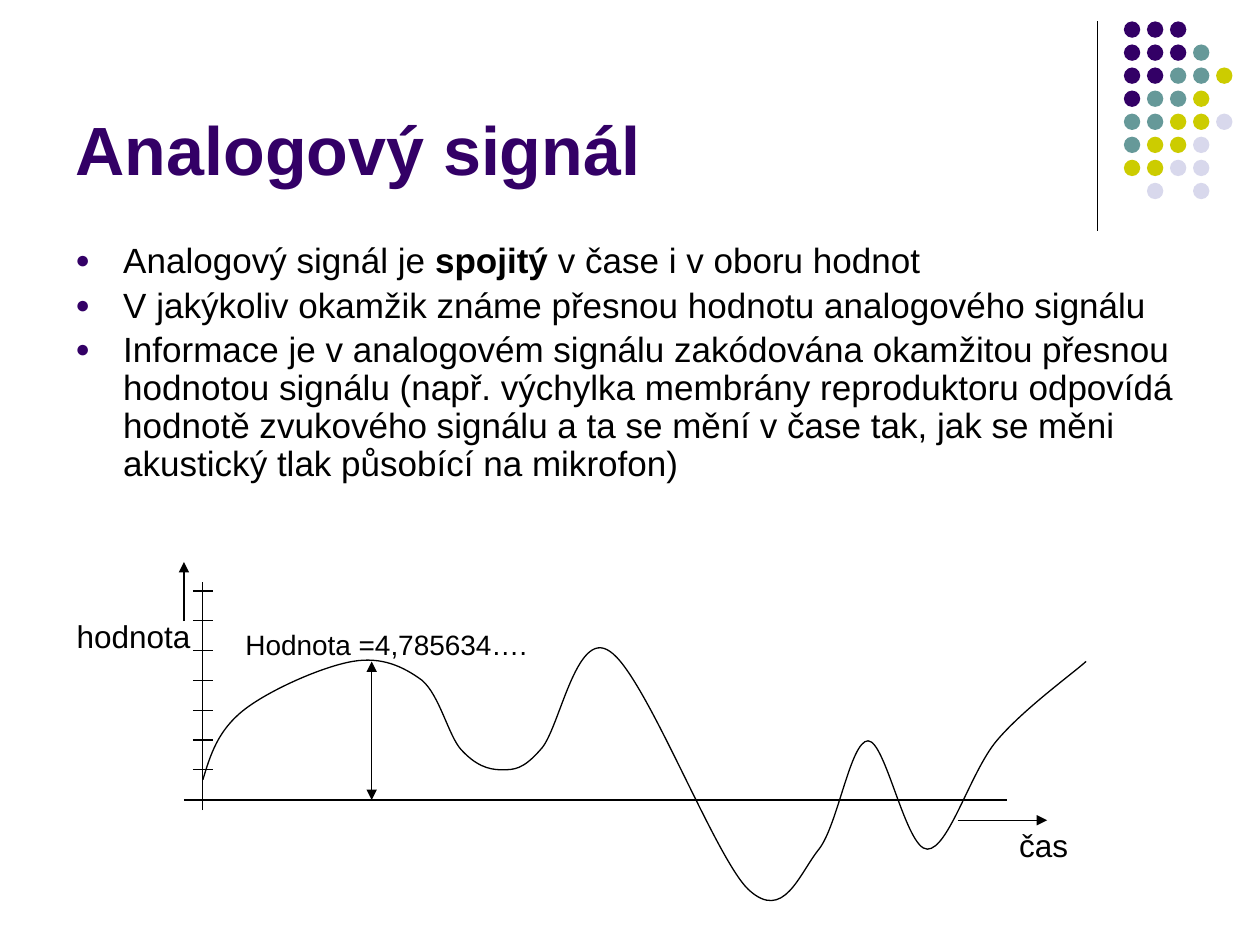
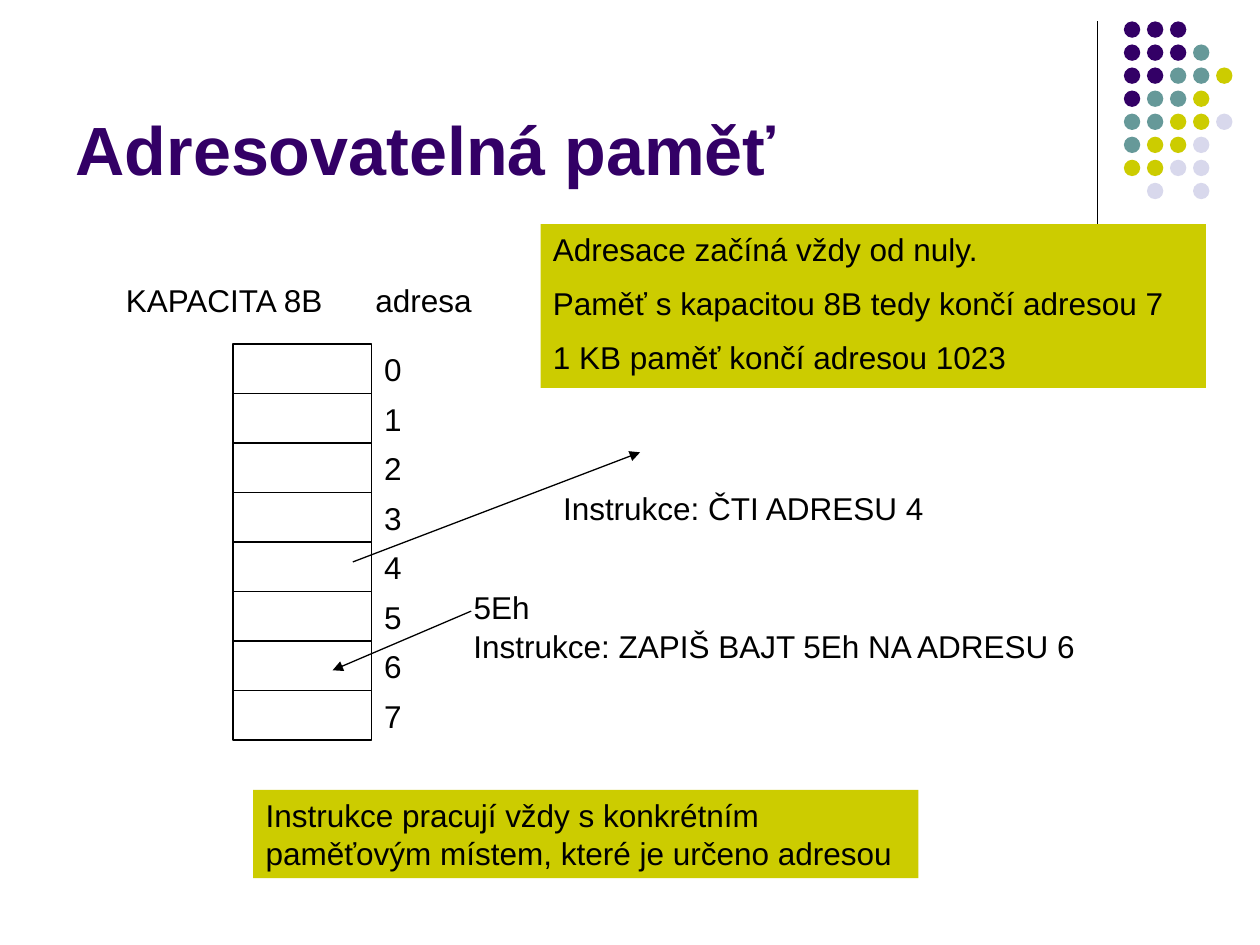
from dataclasses import dataclass

from lxml import etree
from pptx import Presentation
from pptx.dml.color import RGBColor
from pptx.enum import shapes, text
from pptx.oxml.ns import qn
from pptx.util import Inches, Pt

PURPLE = RGBColor(0x33, 0x00, 0x66)
TEAL = RGBColor(0x66, 0x99, 0x99)
LIME = RGBColor(0xCC, 0xCC, 0x00)
LAVENDER = RGBColor(0xD8, 0xD8, 0xEC)
BLACK = RGBColor(0x00, 0x00, 0x00)
FONT = "Arial"
LINE_WIDTH = Pt(0.75)

DOT_COLOURS = {"P": PURPLE, "T": TEAL, "Y": LIME, "L": LAVENDER}
DOT_ROWS = ["PPP", "PPPT", "PPTTY", "PTTY", "TTYYL", "TYYL", "YYLL", ".L.L"]
DOT_STEP = 0.183

Point = tuple[float, float]


@dataclass
class Label:
    words: str
    left: float
    top: float
    width: float
    height: float = 0.4
    size: int = 18
    tab: float | None = None


@dataclass
class Line:
    start: Point
    end: Point
    head: bool = False
    tail: bool = False


@dataclass
class Callout:
    paragraphs: list[str]
    left: float
    top: float
    width: float
    height: float


def style_font(font, size: int, colour: RGBColor = BLACK, bold: bool = False) -> None:
    font.name = FONT
    font.size = Pt(size)
    font.color.rgb = colour
    font.bold = bold


def style_outline(sp) -> None:
    sp.line.color.rgb = BLACK
    sp.line.width = LINE_WIDTH


def draw_line(slide, line: Line) -> None:
    sp = slide.shapes.add_connector(
        shapes.MSO_CONNECTOR.STRAIGHT,
        *(Inches(v) for v in (*line.start, *line.end)))
    style_outline(sp)
    ln = sp.line._get_or_add_ln()
    for tag, wanted in (("a:headEnd", line.head), ("a:tailEnd", line.tail)):
        if wanted:
            etree.SubElement(ln, qn(tag), type="triangle")
    etree.SubElement(sp._element.spPr, qn("a:effectLst"))


def draw_shape(slide, kind, left: float, top: float, width: float, height: float,
               fill: RGBColor | None = None):
    """Draw a filled shape without a line, or an outlined one without a fill."""
    sp = slide.shapes.add_shape(
        kind, Inches(left), Inches(top), Inches(width), Inches(height))
    sp.shadow.inherit = False
    if fill is None:
        sp.fill.background()
        style_outline(sp)
    else:
        sp.fill.solid()
        sp.fill.fore_color.rgb = fill
        sp.line.fill.background()
    return sp


def add_text_box(slide, left: float, top: float, width: float, height: float):
    """Add a wrapping text box and return its text frame."""
    tf = slide.shapes.add_textbox(
        Inches(left), Inches(top), Inches(width), Inches(height)).text_frame
    tf.word_wrap = True
    return tf


def draw_label(slide, label: Label) -> None:
    tf = add_text_box(slide, label.left, label.top, label.width, label.height)
    p = tf.paragraphs[0]
    p.text = label.words
    if label.tab is not None:
        tabs = etree.SubElement(p._p.get_or_add_pPr(), qn("a:tabLst"))
        etree.SubElement(tabs, qn("a:tab"), pos=str(Inches(label.tab)), algn="l")
    style_font(p.runs[0].font, label.size)


def draw_callout(slide, callout: Callout) -> None:
    sp = draw_shape(slide, shapes.MSO_SHAPE.RECTANGLE, callout.left, callout.top,
                    callout.width, callout.height, LIME)
    tf = sp.text_frame
    tf.word_wrap = True
    tf.vertical_anchor = text.MSO_ANCHOR.TOP
    tf.text = "\n".join(callout.paragraphs)
    for i, p in enumerate(tf.paragraphs):
        p.alignment = text.PP_ALIGN.LEFT
        if i:
            p.space_before = Pt(9)
        style_font(p.runs[0].font, 18)


def add_titled_slide(prs, title: str):
    """Add a slide with the shared title style, divider and dot pattern."""
    slide = prs.slides.add_slide(prs.slide_layouts[5])
    sp = slide.shapes.title
    sp.left, sp.top = Inches(0.5), Inches(0.13)
    sp.width, sp.height = Inches(8.25), Inches(1.42)
    tf = sp.text_frame
    tf.text = title
    tf.word_wrap = True
    tf.auto_size = text.MSO_AUTO_SIZE.NONE
    tf.vertical_anchor = text.MSO_ANCHOR.BOTTOM
    p = tf.paragraphs[0]
    p.alignment = text.PP_ALIGN.LEFT
    style_font(p.runs[0].font, 39, PURPLE, bold=True)

    draw_line(slide, Line((8.71, 0.17), (8.71, 1.83)))
    for row, codes in enumerate(DOT_ROWS):
        for col, code in enumerate(codes):
            if code in DOT_COLOURS:
                draw_shape(slide, shapes.MSO_SHAPE.OVAL, 8.92 + col * DOT_STEP,
                           0.17 + row * DOT_STEP, 0.13, 0.13, DOT_COLOURS[code])
    return slide


def add_bullet(p) -> None:
    pPr = p._p.get_or_add_pPr()
    pPr.set("marL", str(Inches(0.38)))
    pPr.set("indent", str(-Inches(0.38)))
    colour = etree.SubElement(pPr, qn("a:buClr"))
    etree.SubElement(colour, qn("a:srgbClr"), val=str(PURPLE))
    etree.SubElement(pPr, qn("a:buSzPct"), val="70000")
    etree.SubElement(pPr, qn("a:buFont"), typeface=FONT)
    etree.SubElement(pPr, qn("a:buChar"), char="●")


def draw_bullets(slide, bullets: list[list[str]]) -> None:
    """Draw bullets; every second piece of a bullet is bold."""
    tf = add_text_box(slide, 0.5, 1.88, 9, 4.82)
    for i, pieces in enumerate(bullets):
        p = tf.add_paragraph() if i else tf.paragraphs[0]
        add_bullet(p)
        p.line_spacing = 0.9
        if i:
            p.space_before = Pt(4)
        for j, piece in enumerate(pieces):
            r = p.add_run()
            r.text = piece
            style_font(r.font, 20, bold=j % 2 == 1)


def draw_curve(slide, knots: list[Point]) -> None:
    """Draw joined cubic curves: a start, then three points per curve."""
    start, *others = [(Inches(x), Inches(y)) for x, y in knots]
    builder = slide.shapes.build_freeform(*start)
    builder.add_line_segments(others, close=False)
    sp = builder.convert_to_shape()
    segments = list(sp._element.iter(qn("a:lnTo")))
    outline = segments[0].getparent()
    for i in range(0, len(segments), 3):
        curve = etree.SubElement(outline, qn("a:cubicBezTo"))
        for segment in segments[i:i + 3]:
            curve.append(segment[0])
            outline.remove(segment)
    sp.shadow.inherit = False
    sp.fill.background()
    style_outline(sp)


SIGNAL = [
    (1.61, 6.19),
    (1.67, 5.99), (1.73, 5.8), (1.93, 5.64),
    (2.13, 5.48), (2.56, 5.29), (2.8, 5.25),
    (3.03, 5.21), (3.2, 5.29), (3.35, 5.4),
    (3.49, 5.52), (3.56, 5.84), (3.66, 5.95),
    (3.77, 6.07), (3.87, 6.11), (3.98, 6.11),
    (4.08, 6.11), (4.15, 6.11), (4.29, 5.95),
    (4.44, 5.8), (4.57, 4.98), (4.84, 5.17),
    (5.12, 5.35), (5.67, 6.8), (5.94, 7.06),
    (6.22, 7.32), (6.34, 6.94), (6.5, 6.74),
    (6.65, 6.55), (6.75, 5.88), (6.89, 5.88),
    (7.03, 5.88), (7.19, 6.74), (7.36, 6.74),
    (7.53, 6.74), (7.7, 6.13), (7.91, 5.88),
    (8.12, 5.63), (8.51, 5.35), (8.62, 5.25),
]


def build_analog_signal(prs) -> None:
    slide = add_titled_slide(prs, "Analogový signál")
    draw_bullets(slide, [
        ["Analogový signál je", " spojitý", " v čase i v oboru hodnot"],
        ["V jakýkoliv okamžik známe přesnou hodnotu analogového signálu"],
        ["Informace je v analogovém signálu zakódována okamžitou přesnou "
         "hodnotou signálu (např. výchylka membrány reproduktoru odpovídá "
         "hodnotě zvukového signálu a ta se mění v čase tak, jak se měni "
         "akustický tlak působící na mikrofon)"],
    ])

    time_axis = Line((1.46, 6.35), (7.99, 6.35))
    value_axis = Line((1.61, 6.43), (1.61, 4.62))
    time_arrow = Line((7.6, 6.51), (8.31, 6.51), tail=True)
    value_arrow = Line((1.46, 4.93), (1.46, 4.46), tail=True)
    sample = Line((2.95, 5.25), (2.95, 6.35), head=True, tail=True)
    tick_tops = [4.69 + i * 1.42 / 6 for i in range(7)]
    ticks = [Line((1.53, y), (1.69, y)) for y in tick_tops]
    for line in (time_axis, value_axis, time_arrow, value_arrow, sample, *ticks):
        draw_line(slide, line)
    draw_curve(slide, SIGNAL)

    for label in (Label("čas", 7.99, 6.51, 0.79),
                  Label("hodnota", 0.51, 4.85, 1.26),
                  Label("Hodnota =4,785634….", 1.85, 4.93, 2.76, 0.37, 16)):
        draw_label(slide, label)


def build_addressable_memory(prs) -> None:
    slide = add_titled_slide(prs, "Adresovatelná paměť")
    for address in range(8):
        top = 2.73 + address * 2.75 / 7
        draw_shape(slide, shapes.MSO_SHAPE.RECTANGLE, 1.85, top, 1.1, 2.75 / 7)
        draw_label(slide, Label(str(address), 2.95, top, 1.26))

    for label in (Label("KAPACITA 8B\tadresa", 0.9, 2.18, 3.15, tab=1.98),
                  Label("Instrukce: ČTI ADRESU 4", 4.37, 3.83, 3.15),
                  Label("Instrukce: ZAPIŠ BAJT 5Eh NA ADRESU 6", 3.66, 4.93, 5.04),
                  Label("5Eh", 3.66, 4.62, 0.79)):
        draw_label(slide, label)

    write_arrow = Line((3.74, 4.85), (2.64, 5.32), tail=True)
    read_arrow = Line((2.8, 4.46), (5.08, 3.59), tail=True)
    for arrow in (write_arrow, read_arrow):
        draw_line(slide, arrow)

    draw_callout(slide, Callout(
        ["Instrukce pracují vždy s konkrétním paměťovým místem, "
         "které je určeno adresou"], 2.01, 6.27, 5.28, 0.7))
    draw_callout(slide, Callout(
        ["Adresace začíná vždy od nuly.",
         "Paměť s kapacitou 8B tedy končí adresou 7",
         "1 KB paměť končí adresou 1023"], 4.29, 1.78, 5.28, 1.3))


def main() -> None:
    prs = Presentation()
    prs.slide_width, prs.slide_height = Inches(10), Inches(7.5)
    build_analog_signal(prs)
    build_addressable_memory(prs)
    prs.save("out.pptx")


if __name__ == "__main__":
    main()
